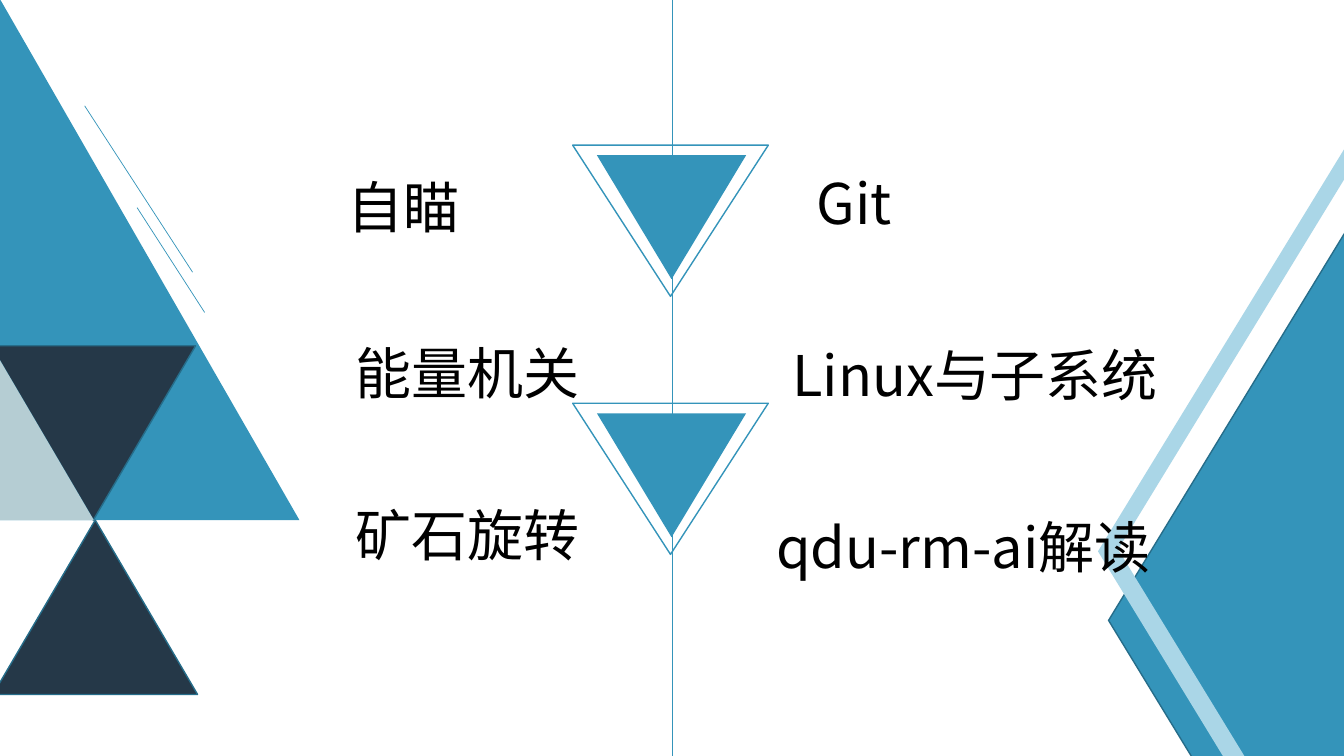
from pptx import Presentation
from pptx.dml.color import RGBColor
from pptx.enum.shapes import MSO_CONNECTOR, MSO_SHAPE
from pptx.enum.text import MSO_AUTO_SIZE
from pptx.oxml.ns import qn
from pptx.util import Inches, Pt
from lxml.etree import SubElement

COLORS = {"blue": "3494BA", "edge": "266D8A", "navy": "253848",
          "mist": "B5CDD3", "sky": "AAD6E7", "black": "000000"}
FONT = "Noto Sans CJK SC"
TOPIC_FORMAT = {"name": FONT, "size": Pt(40)}

TOPICS = [
    ("自瞄", 3.35, 1.66, 1.43),
    ("能量机关", 3.43, 3.31, 2.6),
    ("矿石旋转", 3.43, 4.92, 2.64),
    ("Git", 8, 1.62, 2.04),
    ("Linux与子系统", 7.76, 3.33, 3.86),
    ("qdu-rm-ai解读", 7.6, 5.04, 4.08),
]
TOPIC_HEIGHT = 0.77

CENTER_LINE = (6.67, 0, 6.67, 7.5)
ACCENT_LINES = [(0.84, 1.05, 1.91, 2.7), (1.36, 2.06, 2.03, 3.1)]
MARKER_TOPS = [4, 1.44]
MARKER_INSET = 0.1
SMALL_SIZE = (2.03, 1.73)

LEFT_TRIANGLES = [
    ((-2.96, 0, 5.93, 5.16), 0, "blue", None),
    ((-0.09, 3.43, *SMALL_SIZE), 180, "navy", "edge"),
    ((-1.1, 3.43, *SMALL_SIZE), 0, "mist", None),
    ((-0.07, 5.16, *SMALL_SIZE), 0, "navy", "edge"),
]
RIGHT_TRIANGLE = ((8.2, 4.93, 8.04, 2.45), 270, "blue", "edge")
RIGHT_BAND = [(13.35, 1.45), (13.35, 1.75), (11.09, 5.45),
              (13.35, 9.15), (13.35, 9.5), (10.89, 5.47)]


def color(name):
    return RGBColor.from_string(COLORS[name])


def paint(shape, fill, edge):
    shape.shadow.inherit = False
    if fill:
        shape.fill.solid()
        shape.fill.fore_color.rgb = color(fill)
    else:
        shape.fill.background()
    if edge:
        shape.line.color.rgb = color(edge)
        shape.line.width = Pt(1)
    else:
        shape.line.fill.background()


def add_triangle(slide, box, rotation, fill, edge, apex=0.5):
    triangle = slide.shapes.add_shape(
        MSO_SHAPE.ISOSCELES_TRIANGLE, *map(Inches, box))
    triangle.rotation = rotation
    triangle.adjustments[0] = apex
    paint(triangle, fill, edge)


def add_line(slide, ends):
    line = slide.shapes.add_connector(
        MSO_CONNECTOR.STRAIGHT, *map(Inches, ends))
    line.line.color.rgb = color("blue")
    line.line.width = Pt(0.5)
    SubElement(line._element.spPr, qn("a:effectLst"))


def add_band(slide):
    corners = [(Inches(x), Inches(y)) for x, y in RIGHT_BAND]
    outline = slide.shapes.build_freeform(*corners[0])
    outline.add_line_segments(corners[1:], close=True)
    paint(outline.convert_to_shape(), "sky", None)


def add_topic(slide, wording, left, top, width):
    topic = slide.shapes.add_textbox(
        *map(Inches, (left, top, width, TOPIC_HEIGHT)))
    frame = topic.text_frame
    frame.word_wrap = True
    frame.auto_size = MSO_AUTO_SIZE.SHAPE_TO_FIT_TEXT
    run = frame.paragraphs[0].add_run()
    run.text = wording
    for attribute, value in TOPIC_FORMAT.items():
        setattr(run.font, attribute, value)
    run.font.color.rgb = color("black")
    SubElement(run.font._element, qn("a:ea"), typeface=FONT)


def main():
    deck = Presentation()
    deck.slide_width, deck.slide_height = Inches(13.33), Inches(7.5)
    slide = deck.slides.add_slide(deck.slide_layouts[6])

    add_line(slide, CENTER_LINE)
    for top in MARKER_TOPS:
        add_triangle(slide, (5.92, top + MARKER_INSET, 1.48, 1.23),
                     180, "blue", None)
        add_triangle(slide, (5.68, top, 1.94, 1.5), 180, None, "blue", 0.5)
    for triangle in LEFT_TRIANGLES:
        add_triangle(slide, *triangle)
    for ends in ACCENT_LINES:
        add_line(slide, ends)
    add_triangle(slide, *RIGHT_TRIANGLE)
    add_band(slide)
    for topic in TOPICS:
        add_topic(slide, *topic)

    deck.save("out.pptx")


if __name__ == "__main__":
    main()
